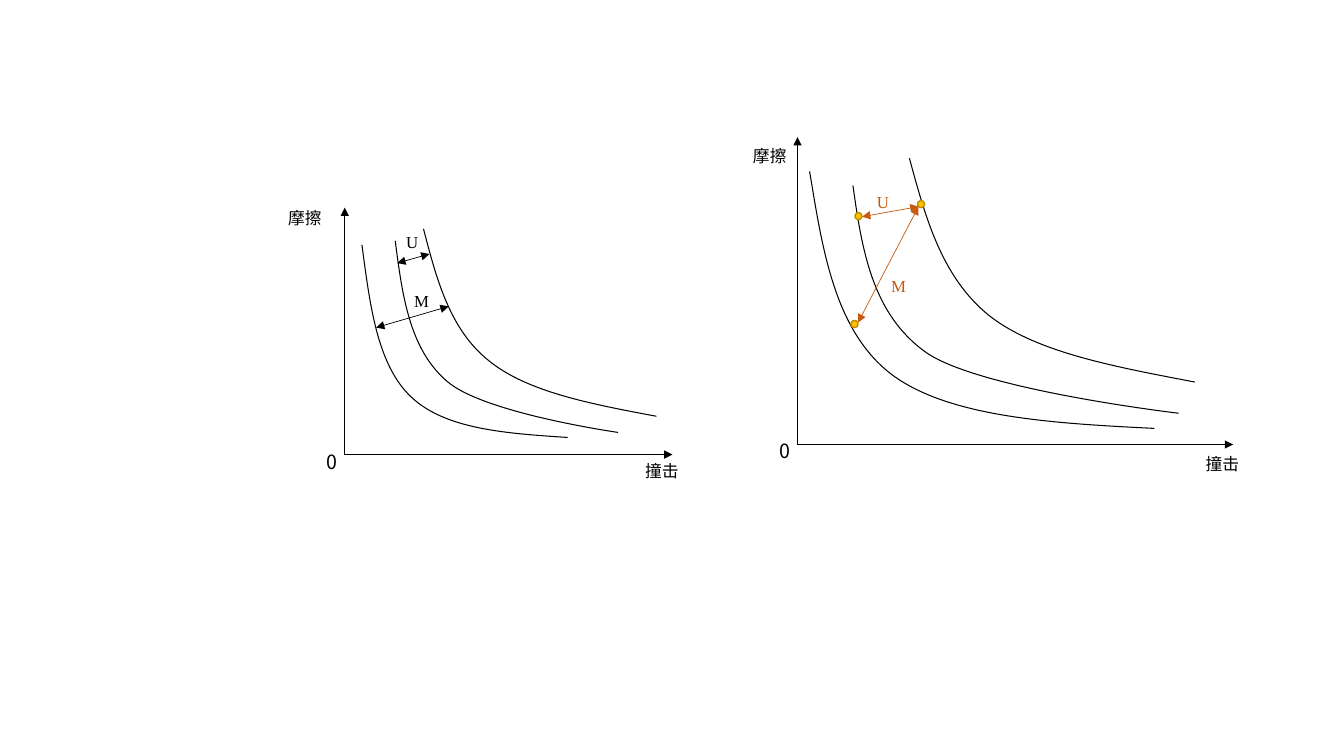
from lxml import etree
from pptx import Presentation
from pptx.dml.color import RGBColor
from pptx.enum.shapes import MSO_CONNECTOR, MSO_SHAPE
from pptx.enum.text import MSO_AUTO_SIZE
from pptx.oxml.ns import qn
from pptx.util import Inches, Pt

STRAIGHT = MSO_CONNECTOR.STRAIGHT
OVAL = MSO_SHAPE.OVAL
FIT_SHAPE = MSO_AUTO_SIZE.SHAPE_TO_FIT_TEXT

CJK_FONT = "Noto Sans CJK SC"
LATIN_FONT = "Times New Roman"
BLACK, ORANGE, GOLD, DARK_GOLD = "000000", "C55A11", "FFC000", "BD8E00"
DOT_SIZE = 0.07

# Each curve: start point, then three points per Bezier segment
LEFT_CURVES = [
    [(3.59, 2.43), (3.67, 3.03), (3.74, 3.62), (4.08, 3.94),
     (4.42, 4.26), (5.02, 4.3), (5.63, 4.34)],
    [(3.92, 2.39), (3.99, 2.93), (4.06, 3.46), (4.43, 3.78),
     (4.79, 4.1), (6.13, 4.29), (6.13, 4.29)],
    [(4.2, 2.27), (4.33, 2.77), (4.46, 3.27), (4.85, 3.58),
     (5.23, 3.89), (5.87, 4.01), (6.51, 4.13)],
]
RIGHT_CURVES = [
    [(8.03, 1.7), (8.16, 2.49), (8.28, 3.29), (8.85, 3.72),
     (9.42, 4.14), (10.44, 4.2), (11.45, 4.25)],
    [(8.46, 1.84), (8.55, 2.48), (8.65, 3.12), (9.19, 3.5),
     (9.73, 3.87), (11.69, 4.1), (11.69, 4.1)],
    [(9.02, 1.57), (9.18, 2.16), (9.34, 2.75), (9.81, 3.13),
     (10.28, 3.5), (11.07, 3.64), (11.85, 3.79)],
]


def rgb(color):
    return RGBColor.from_string(color)


def set_line(sp, color, width):
    sp.line.color.rgb = rgb(color)
    sp.line.width = Pt(width)


def add_arrow(s, start, end, color=BLACK, double=False):
    line = s.shapes.add_connector(STRAIGHT, *map(Inches, start + end))
    set_line(line, color, 0.5)
    ln = line.line._get_or_add_ln()
    for tag in (["a:headEnd"] if double else []) + ["a:tailEnd"]:
        etree.SubElement(ln, qn(tag), type="triangle")
    etree.SubElement(line._element.spPr, qn("a:effectLst"))


def add_curve(s, points):
    emu = [(Inches(x), Inches(y)) for x, y in points]
    builder = s.shapes.build_freeform(*emu[0])
    builder.add_line_segments(emu[1:], close=False)
    sp = builder.convert_to_shape()
    # Turn every three straight segments into one Bezier segment
    segments = list(sp._element.iter(qn("a:lnTo")))
    for i in range(0, len(segments), 3):
        bezier = etree.Element(qn("a:cubicBezTo"))
        segments[i].addprevious(bezier)
        for segment in segments[i:i + 3]:
            bezier.append(segment[0])
            segment.getparent().remove(segment)
    sp.fill.background()
    set_line(sp, BLACK, 0.75)
    sp.shadow.inherit = False


def add_label(s, text, left, top, width, height=0.3, size=12, font=CJK_FONT, color=BLACK):
    box = s.shapes.add_textbox(*map(Inches, (left, top, width, height)))
    tf = box.text_frame
    tf.text = text
    tf.word_wrap = False
    tf.auto_size = FIT_SHAPE
    r = tf.paragraphs[0].runs[0]
    r.font.size = Pt(size)
    r.font.name = font
    r.font.color.rgb = rgb(color)
    etree.SubElement(r._r.get_or_add_rPr(), qn("a:ea"), typeface=font)


def add_dot(s, left, top):
    sp = s.shapes.add_shape(OVAL, *map(Inches, (left, top, DOT_SIZE, DOT_SIZE)))
    sp.fill.solid()
    sp.fill.fore_color.rgb = rgb(GOLD)
    set_line(sp, DARK_GOLD, 1)
    sp.shadow.inherit = False


def add_graph(s, origin, top, right, curves, friction_at, impact_at):
    x, y = origin
    add_arrow(s, origin, (x, top))
    add_arrow(s, origin, (right, y))
    for points in curves:
        add_curve(s, points)
    add_label(s, "摩擦", *friction_at, 0.54)
    add_label(s, "撞击", *impact_at, 0.55)
    add_label(s, "0", x - 0.28, y - 0.1, 0.35, 0.34, size=14)


def add_distances(s, u_line, m_line, u_at, m_at, color):
    for start, end in (u_line, m_line):
        add_arrow(s, start, end, color, double=True)
    add_label(s, "U", *u_at, 0.33, font=LATIN_FONT, color=color)
    add_label(s, "M", *m_at, 0.36, font=LATIN_FONT, color=color)


def main():
    prs = Presentation()
    prs.slide_width, prs.slide_height = Inches(13.33), Inches(7.5)
    s = prs.slides.add_slide(prs.slide_layouts[6])

    # Left graph
    add_graph(s, (3.42, 4.51), 2.06, 6.67, LEFT_CURVES, (2.76, 2.01), (6.3, 4.52))
    add_distances(s, ((3.94, 2.61), (4.26, 2.52)), ((3.73, 3.25), (4.45, 3.04)),
                  (3.93, 2.25), (4.01, 2.84), BLACK)

    # Right graph, with marked points
    add_graph(s, (7.91, 4.41), 1.36, 12.23, RIGHT_CURVES, (7.37, 1.4), (11.86, 4.45))
    add_distances(s, ((8.55, 2.15), (9.11, 2.05)), ((8.51, 3.2), (9.11, 2.05)),
                  (8.6, 1.85), (8.74, 2.69), ORANGE)
    for left, top in ((9.1, 1.99), (8.48, 2.11), (8.44, 3.18)):
        add_dot(s, left, top)

    prs.save("out.pptx")


if __name__ == "__main__":
    main()
